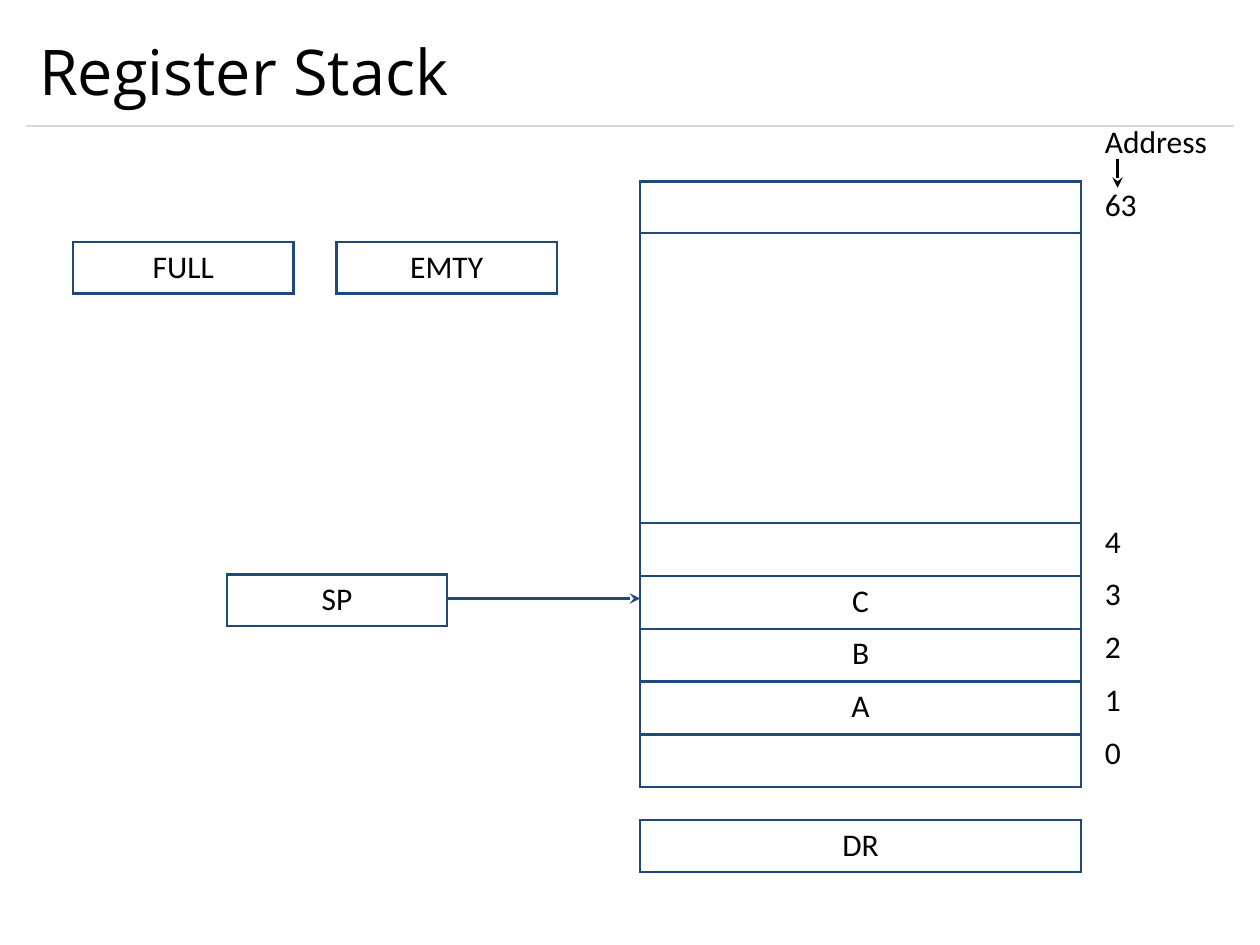
from dataclasses import dataclass

from lxml import etree
from pptx import Presentation
from pptx.dml.color import RGBColor
from pptx.enum.shapes import MSO_CONNECTOR
from pptx.enum.text import MSO_ANCHOR, MSO_AUTO_SIZE, PP_ALIGN
from pptx.oxml.ns import qn
from pptx.util import Inches, Pt

STRAIGHT = MSO_CONNECTOR.STRAIGHT
MIDDLE = MSO_ANCHOR.MIDDLE
GROW = MSO_AUTO_SIZE.SHAPE_TO_FIT_TEXT
LEFT, CENTER = PP_ALIGN.LEFT, PP_ALIGN.CENTER


@dataclass(frozen=True)
class Theme:
    ink: str = "000000"
    navy: str = "1F497D"
    rule: str = "D9D9D9"
    title_font: str = "Open Sans"
    body_font: str = "Calibri"
    title_size: int = 36
    body_size: int = 18


class SlideBuilder:
    def __init__(self, page, theme):
        self.page = page
        self.theme = theme

    def add_text(self, para, text, align=LEFT, **changes):
        para.alignment = align
        span = para.add_run()
        span.text = text
        values = {"name": self.theme.body_font, "size": Pt(self.theme.body_size),
                  "bold": False, **changes}
        for name, value in values.items():
            setattr(span.font, name, value)
        span.font.color.rgb = RGBColor.from_string(self.theme.ink)

    def title(self, text, left, top, width, height):
        box = self.page.shapes.title
        place = {"left": left, "top": top, "width": width, "height": height}
        for name, value in place.items():
            setattr(box, name, Inches(value))
        box.text_frame.vertical_anchor = MIDDLE
        self.add_text(box.text_frame.paragraphs[0], text,
                      name=self.theme.title_font, size=Pt(self.theme.title_size))

    def label(self, text, left, top, width, height=0.4):
        box = self.page.shapes.add_textbox(
            Inches(left), Inches(top), Inches(width), Inches(height))
        box.text_frame.word_wrap = False
        box.text_frame.auto_size = GROW
        self.add_text(box.text_frame.paragraphs[0], text)

    def line(self, start, end, color, weight, arrow=False):
        line = self.page.shapes.add_connector(
            STRAIGHT, *(Inches(value) for value in (*start, *end)))
        line.line.color.rgb = RGBColor.from_string(color)
        line.line.width = Pt(weight)
        properties = line._element.spPr
        if arrow:
            etree.SubElement(properties.get_or_add_ln(), qn("a:tailEnd"), type="stealth")
        etree.SubElement(properties, qn("a:effectLst"))

    def cell_borders(self, cell, weight):
        properties = cell._tc.get_or_add_tcPr()
        for index, side in enumerate(("lnL", "lnR", "lnT", "lnB")):
            border = etree.Element(qn(f"a:{side}"), w=str(Pt(weight)))
            fill = etree.SubElement(border, qn("a:solidFill"))
            etree.SubElement(fill, qn("a:srgbClr"), val=self.theme.navy)
            properties.insert(index, border)

    def register(self, left, top, width, rows, weight=1.5):
        """Draw a one-column table from (text, height) rows."""
        total = sum(height for _, height in rows)
        table = self.page.shapes.add_table(
            len(rows), 1, Inches(left), Inches(top), Inches(width), Inches(total)).table
        table.first_row = table.horz_banding = False
        for index, (text, height) in enumerate(rows):
            table.rows[index].height = Inches(height)
            cell = table.cell(index, 0)
            cell.fill.background()
            self.cell_borders(cell, weight)
            if text:
                self.add_text(cell.text_frame.paragraphs[0], text, CENTER)


def main():
    deck = Presentation()
    deck.slide_width, deck.slide_height = Inches(10), Inches(7.5)
    theme = Theme()
    slide = SlideBuilder(deck.slides.add_slide(deck.slide_layouts[5]), theme)

    slide.line((0.21, 1), (9.79, 1), theme.rule, 0.75)
    slide.title("Register Stack", 0.21, 0.12, 9.58, 0.88)

    stack_left, stack_top, stack_width = 5.08, 1.44, 3.5
    register_width, register_height, word_height = 1.75, 0.41, 0.42
    words = ["", "C", "B", "A", ""]
    slide.register(stack_left, stack_top, stack_width,
                   [("", register_height), ("", 2.3)]
                   + [(word, word_height) for word in words])
    slide.register(stack_left, 6.51, stack_width, [("DR", register_height)], weight=1)
    for name, left, top in (("FULL", 0.58, 1.92), ("EMTY", 2.67, 1.92), ("SP", 1.8, 4.56)):
        slide.register(left, top, register_width, [(name, register_height)])

    address_left = 8.67
    slide.label("Address", address_left, 0.92, 1.02)
    slide.label("63", address_left, 1.42, 0.46)
    for index in range(len(words)):
        address = len(words) - 1 - index
        slide.label(str(address), address_left, 4.09 + index * word_height, 0.33)

    slide.line((8.87, 1.26), (8.87, 1.49), theme.ink, 2, arrow=True)
    slide.line((3.55, 4.75), (stack_left, 4.75), theme.navy, 2, arrow=True)

    deck.save("out.pptx")


if __name__ == "__main__":
    main()
